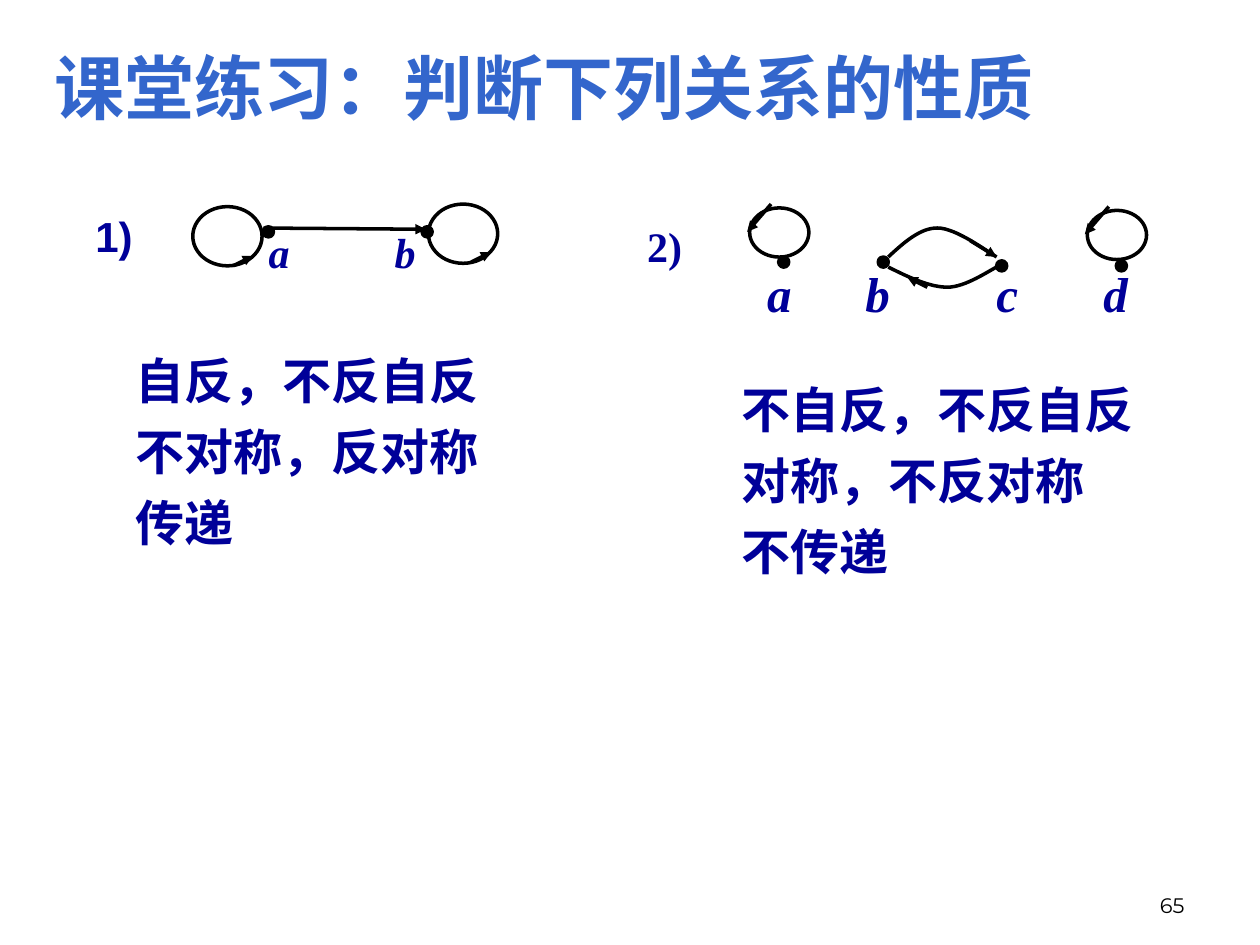
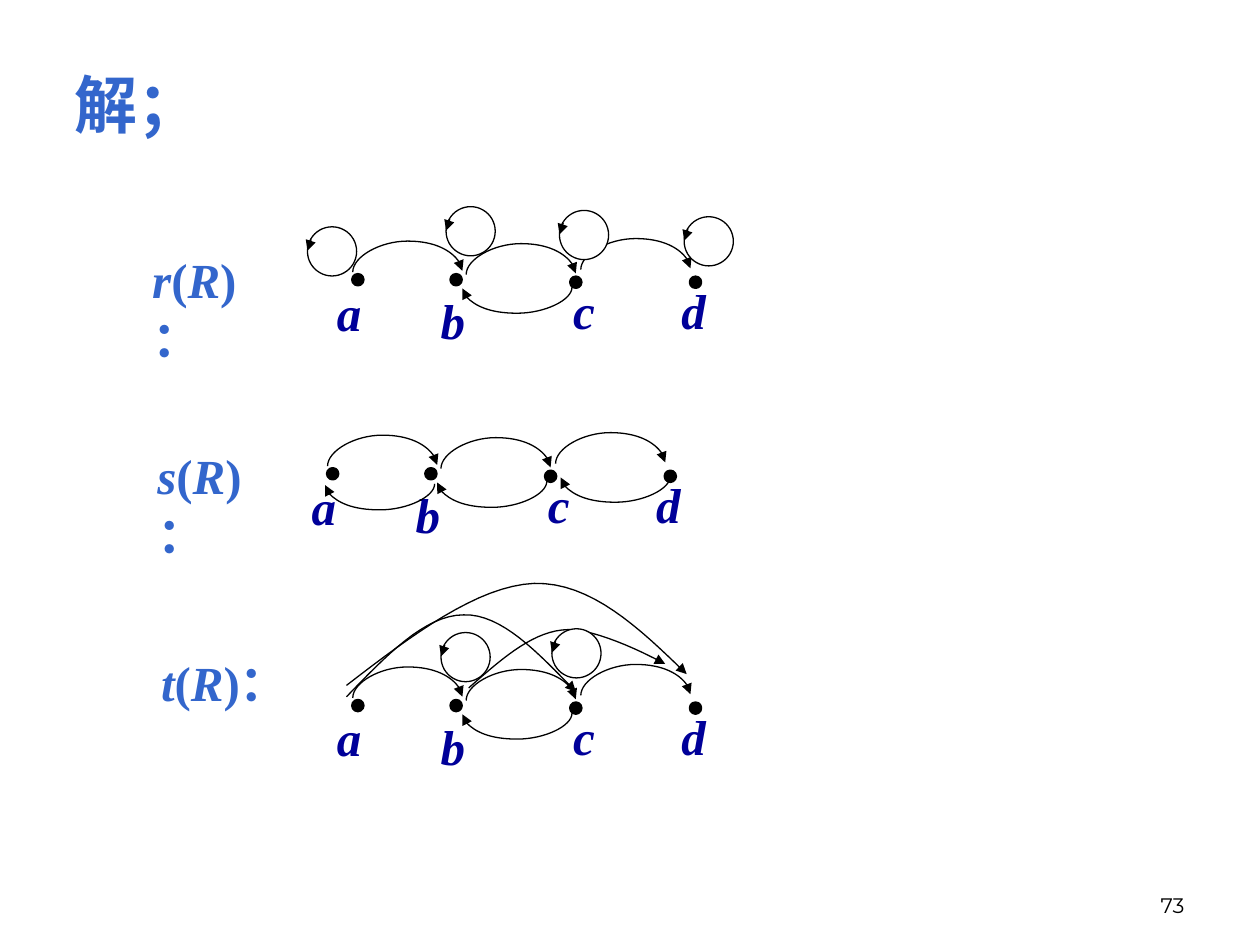
import pptx
import pptx.util
import pptx.dml.color
import pptx.enum.shapes
import pptx.enum.text
import pptx.oxml
import pptx.oxml.ns

TITLE_BLUE = pptx.dml.color.RGBColor(0x33, 0x66, 0xCC)
NAVY = pptx.dml.color.RGBColor(0x00, 0x00, 0x99)
BLACK = pptx.dml.color.RGBColor(0x00, 0x00, 0x00)
WHITE = pptx.dml.color.RGBColor(0xFF, 0xFF, 0xFF)
SANS, SERIF, NUMBER_FONT = "Arial", "Times New Roman", "Montserrat"
ALIGN = pptx.enum.text.PP_ALIGN
ANCHOR = pptx.enum.text.MSO_ANCHOR
OVAL = pptx.enum.shapes.MSO_SHAPE.OVAL
LOOP = pptx.enum.shapes.MSO_SHAPE.FLOWCHART_CONNECTOR
STRAIGHT = pptx.enum.shapes.MSO_CONNECTOR.STRAIGHT
CURVE = pptx.enum.shapes.MSO_CONNECTOR.CURVE
BEZIER = "bezier"
THICK, THIN = 2, 0.75
DOT = 0.08

prs = pptx.Presentation()
prs.slide_width = pptx.util.Inches(10)
prs.slide_height = pptx.util.Inches(7.5)
UNIT = prs.slide_width // 10  # the slide is a grid of 10 columns by 7.5 rows


def write(shapes, area, lines, size, color, font=SERIF, align=ALIGN.LEFT,
          bold=True, italic=False, anchor=ANCHOR.TOP, holder=None):
    """Write lines (each a sequence of runs); italic touches letters only."""
    left, top, width, height = [int(length * UNIT) for length in area]
    box = holder or shapes.add_textbox(left, top, width, height)
    box.left, box.top, box.width, box.height = left, top, width, height
    frame = box.text_frame
    frame.word_wrap = True
    frame.auto_size = pptx.enum.text.MSO_AUTO_SIZE.NONE
    frame.vertical_anchor = anchor
    for number, line in enumerate(lines):
        paragraph = frame.add_paragraph() if number else frame.paragraphs[0]
        paragraph.alignment = align
        paragraph.space_before = pptx.util.Pt(7 if number else 0)
        for text in line:
            run = paragraph.add_run()
            run.text = text
            run.font.size = pptx.util.Pt(size)
            run.font.name = font
            run.font.bold = bold
            run.font.italic = italic and text.isalpha()
            run.font.color.rgb = color


def draw(shapes, kind, area, weight, fill=None, arrow=None):
    """Draw a shape (left, top, size), a connector (two ends) or a Bézier path."""
    lengths = [int(length * UNIT) for length in area]
    if kind in (STRAIGHT, CURVE) and kind not in (OVAL, LOOP):
        mark = shapes.add_connector(kind, *lengths)
    elif kind == BEZIER:
        points = list(zip(lengths[::2], lengths[1::2]))
        outline = []
        for first in range(0, len(points) - 1, 3):
            corners = points[first:first + 4]
            for step in range(1, 17):
                t = step / 16
                shares = ((1 - t) ** 3, 3 * t * (1 - t) ** 2, 3 * t * t * (1 - t), t ** 3)
                outline.append(tuple(
                    round(sum(share * corner[axis] for share, corner in zip(shares, corners)))
                    for axis in (0, 1)))
        builder = shapes.build_freeform(*points[0])
        builder.add_line_segments(outline, close=False)
        mark = builder.convert_to_shape()
    else:
        mark = shapes.add_shape(kind, *lengths)
    mark.line.color.rgb = BLACK
    mark.line.width = pptx.util.Pt(weight)
    properties = mark.element.spPr
    if arrow:
        end = pptx.oxml.parse_xml(
            f'<a:{arrow} {pptx.oxml.ns.nsdecls("a")} type="triangle"/>')
        properties.find(pptx.oxml.ns.qn("a:ln")).append(end)
    if kind in (STRAIGHT, CURVE):
        properties.append(pptx.oxml.parse_xml(
            f'<a:effectLst {pptx.oxml.ns.nsdecls("a")}/>'))
    else:
        mark.shadow.inherit = False
        if fill is None:
            mark.fill.background()
        else:
            mark.fill.solid()
            mark.fill.fore_color.rgb = fill
    return mark


# Titles and slide numbers
slides = []
for title, title_area, title_size, number in (
    ("课堂练习：判断下列关系的性质", (0.33, 0.3, 8.87, 0.77), 40, "65"),
    ("解；", (0.49, 0.47, 9.5, 0.71), 36, "73"),
):
    slide = prs.slides.add_slide(prs.slide_layouts[5])
    write(slide.shapes, title_area, [[title]], title_size, TITLE_BLUE, SANS,
          holder=slide.shapes.title)
    write(slide.shapes, (7.17, 6.83, 2.33, 0.5), [[number]], 12, BLACK, NUMBER_FONT,
          ALIGN.RIGHT, bold=False, anchor=ANCHOR.BOTTOM)
    slides.append(slide)
exercise, solution = slides

# Exercise 1: two loops and one edge
relation = exercise.shapes.add_group_shape().shapes
for x in (2.09, 3.35):
    draw(relation, OVAL, (x, 1.8, DOT, DOT), THICK, BLACK)
draw(relation, STRAIGHT, (2.09, 1.81, 3.38, 1.82), THICK, arrow="tailEnd")
for x, y, tip_x, tip_y in ((1.53, 1.64, 2.01, 2.03), (3.4, 1.62, 3.9, 2)):
    draw(relation, OVAL, (x, y, 0.55, 0.47), THICK)
    draw(relation, STRAIGHT, (tip_x - 0.16, tip_y + 0.08, tip_x, tip_y), THICK,
         arrow="tailEnd")
for name, x in (("a", 1.9), ("b", 2.9)):
    write(relation, (x, 1.75, 0.63, 0.5), [[name]], 24, NAVY, align=ALIGN.CENTER, italic=True)

# Exercise 2: loops on a and d, edges both ways between b and c
relation = exercise.shapes.add_group_shape().shapes
for name, x, y, label_x in (("a", 6.18, 2.04, 5.87), ("b", 6.97, 2.04, 6.65),
                            ("c", 7.91, 2.07, 7.68), ("d", 8.86, 2.07, 8.54)):
    draw(relation, OVAL, (x, y, DOT, DOT), THICK, BLACK)
    write(relation, (label_x, 2.04, 0.63, 0.57), [[name]], 28, NAVY,
          align=ALIGN.CENTER, italic=True)
for x, y in ((5.95, 1.65), (8.63, 1.67)):
    draw(relation, OVAL, (x, y, 0.47, 0.39), THICK)
    draw(relation, STRAIGHT, (x + 0.17, y - 0.03, x - 0.02, y + 0.19), THICK, arrow="tailEnd")
for path in (
    (7.05, 2.04, 7.17, 1.93, 7.3, 1.81, 7.44, 1.81, 7.59, 1.81, 7.84, 2, 7.91, 2.04),
    (7.05, 2.12, 7.21, 2.2, 7.38, 2.28, 7.52, 2.28, 7.66, 2.28, 7.85, 2.15, 7.91, 2.12),
):
    draw(relation, BEZIER, path, THICK)
for ends in ((7.7, 1.91, 7.91, 2.04), (7.36, 2.28, 7.2, 2.2)):
    draw(relation, STRAIGHT, ends, THICK, arrow="tailEnd")

# Exercise numbers and answers
for label, area, font in (("1)", (0.51, 1.62, 0.79, 0.5), SANS),
                          ("2)", (4.92, 1.7, 0.71, 0.5), SERIF)):
    write(exercise.shapes, area, [[label]], 24, NAVY, font, ALIGN.CENTER)
for answer, area in (
    (("自反，不反自反", "不对称，反对称", "传递"), (0.98, 2.73, 3.15, 1.99)),
    (("不自反，不反自反", "对称，不反对称", "不传递"), (5.79, 2.96, 3.62, 1.97)),
):
    write(exercise.shapes, area, [[line] for line in answer], 28, NAVY, SANS)

# Closures r(R), s(R), t(R): one set of nodes, shifted for each graph
nodes = (("a", 2.8, 2.18, 2.51, 2.19, 0.52), ("b", 3.58, 2.18, 3.28, 2.26, 0.63),
         ("c", 4.53, 2.2, 4.32, 2.18, 0.63), ("d", 5.48, 2.2, 5.19, 2.18, 0.63))
forward_edges = ((4.61, 2.14), (3.7, 2.18), (2.8, 2.16))
c_to_b, b_to_a, d_to_c = (3.67, 2.29), (2.78, 2.31), (4.65, 2.25)
long_edges = (
    (2.75, 5.53, 3.06, 5.21, 3.37, 4.88, 3.68, 4.88, 3.98, 4.87, 4.27, 5.18, 4.57, 5.49),
    (2.75, 5.44, 3.27, 5.04, 3.79, 4.65, 4.24, 4.63, 4.69, 4.62, 5.07, 4.98, 5.45, 5.35),
    (3.72, 5.46, 3.96, 5.25, 4.2, 5.03, 4.46, 5, 4.72, 4.96, 5.28, 5.27, 5.28, 5.27),
)
closures = (
    ("r", (1.11, 1.93), 0, 0, (c_to_b,), (),
     ((5.43, 1.72), (4.44, 1.67), (3.54, 1.64), (2.44, 1.8))),
    ("s", (1.15, 3.49), -0.2, 1.54, (c_to_b, b_to_a, d_to_c), (), ()),
    ("t", (1.18, 5.13), 0, 3.38, (c_to_b,), long_edges, ((3.5, 5.02), (4.38, 4.99))),
)
for closure, corner, right, down, backward_edges, paths, loops in closures:
    graph = solution.shapes.add_group_shape().shapes
    for name, x, y, label_x, label_y, label_width in nodes:
        draw(graph, OVAL, (x + right, y + down, DOT, DOT), THICK, BLACK)
        write(graph, (label_x + right, label_y + down, label_width, 0.57), [[name]], 28,
              NAVY, align=ALIGN.CENTER, italic=True)
    # Arcs are upright curves turned by a quarter; the bend is in 1/100000 of 0.01
    for edges, arrow, bend in ((forward_edges, "tailEnd", 2500000),
                               (backward_edges, "headEnd", -2000000)):
        for x, y in edges:
            left, top = x + right + 0.43, y + down - 0.44
            arc = draw(graph, CURVE, (left, top, left + 0.01, top + 0.87), THIN, arrow=arrow)
            turn = arc.element.spPr.find(pptx.oxml.ns.qn("a:xfrm"))
            for key, value in (("rot", "5400000"), ("flipH", "1"), ("flipV", "1")):
                turn.set(key, value)
            geometry = arc.element.spPr.find(pptx.oxml.ns.qn("a:prstGeom"))
            for adjustments in list(geometry):
                geometry.remove(adjustments)
            geometry.append(pptx.oxml.parse_xml(
                f'<a:avLst {pptx.oxml.ns.nsdecls("a")}>'
                f'<a:gd name="adj1" fmla="val {bend}"/></a:avLst>'))
    for path in paths:
        draw(graph, BEZIER, path, THIN, arrow="tailEnd")
    for x, y in loops:
        draw(graph, LOOP, (x, y, 0.39, 0.39), THIN, WHITE)
        draw(graph, STRAIGHT, (x + 0.03, y + 0.1, x, y + 0.19), THIN, arrow="tailEnd")
    write(solution.shapes, (*corner, 1.25, 0.57), [(closure, "(", "R", ")：")], 28,
          TITLE_BLUE, italic=True)

prs.save("out.pptx")
